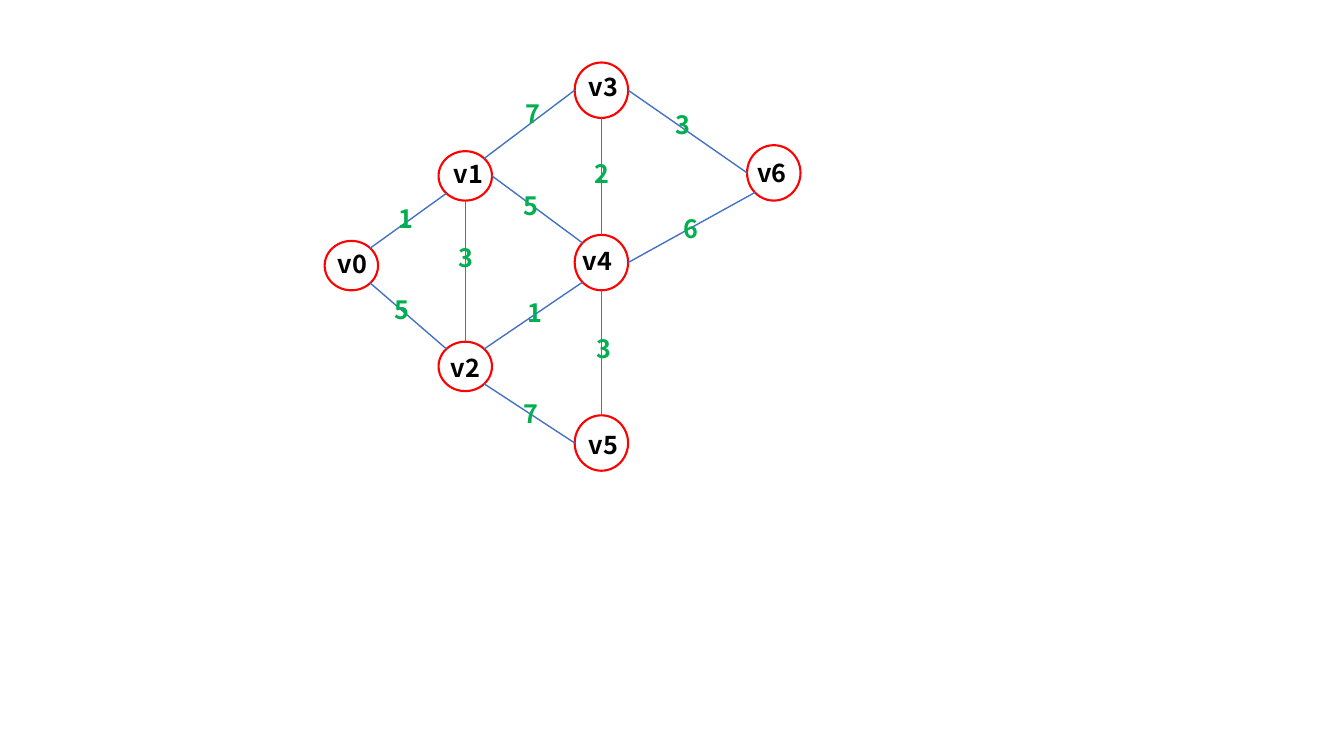
import dataclasses
import math

import lxml.etree
import pptx
import pptx.dml.color
import pptx.enum.shapes
import pptx.oxml.ns
import pptx.util

PX = 9144  # EMU per px, 100 px to the inch
NODE_WIDTH = 53
LABEL_HEIGHT = 40
NAME_WIDTH = 55
WEIGHT_WIDTH = 39


@dataclasses.dataclass(frozen=True)
class Theme:
    font: str = "Noto Sans CJK SC"
    text_size: int = 18
    name: str = "000000"
    weight: str = "00B050"
    ring: str = "FF0000"
    edge: str = "4472C4"
    ring_width: float = 1.5
    edge_width: float = 1


THEME = Theme()

# name: node left, top, height, then label left, top
NODES = {
    "v0": (322, 239, 49, 325, 241),
    "v1": (435, 150, 49, 440, 152),
    "v2": (435, 339, 49, 437, 345),
    "v3": (570, 62, 55, 574, 66),
    "v4": (570, 233, 55, 568, 238),
    "v5": (570, 412, 55, 574, 421),
    "v6": (741, 144, 55, 741, 151),
}

# Clockwise angle of each attachment point on a node, from the right
SIDES = {"right": 0, "lower right": 45, "bottom": 90, "lower left": 135,
         "left": 180, "upper left": 225, "top": 270, "upper right": 315}

# start node and side, end node and side, weight, weight left, top
EDGES = [
    ("v0", "upper right", "v1", "lower left", "1", 385, 197),
    ("v0", "lower right", "v2", "upper left", "5", 381, 287),
    ("v1", "upper right", "v3", "left", "7", 511, 93),
    ("v2", "lower right", "v5", "left", "7", 509, 390),
    ("v2", "top", "v1", "bottom", "3", 445, 236),
    ("v3", "bottom", "v4", "top", "2", 580, 152),
    ("v4", "bottom", "v5", "top", "3", 582, 326),
    ("v2", "upper right", "v4", "lower left", "1", 513, 290),
    ("v1", "right", "v4", "upper left", "5", 509, 184),
    ("v3", "right", "v6", "left", "3", 660, 104),
    ("v4", "right", "v6", "lower left", "6", 668, 207),
]


def emu(*lengths):
    return [pptx.util.Emu(round(length * PX)) for length in lengths]


def set_line(line, colour, width):
    line.color.rgb = pptx.dml.color.RGBColor.from_string(colour)
    line.width = pptx.util.Pt(width)


def add_node(page, left, top, height):
    node = page.shapes.add_shape(
        pptx.enum.shapes.MSO_SHAPE.OVAL, *emu(left, top, NODE_WIDTH, height))
    node.shadow.inherit = False
    node.fill.background()
    set_line(node.line, THEME.ring, THEME.ring_width)


def rim_point(name, side):
    """Return the point of a node's outline at the given side."""
    left, top, height = NODES[name][:3]
    angle = math.radians(SIDES[side])
    return (left + NODE_WIDTH / 2 * (1 + math.cos(angle)),
            top + height / 2 * (1 + math.sin(angle)))


def add_edge(page, start, end):
    edge = page.shapes.add_connector(
        pptx.enum.shapes.MSO_CONNECTOR.STRAIGHT, *emu(*start, *end))
    set_line(edge.line, THEME.edge, THEME.edge_width)
    lxml.etree.SubElement(edge._element.spPr, pptx.oxml.ns.qn("a:effectLst"))


def add_label(page, text, left, top, width, colour):
    box = page.shapes.add_textbox(*emu(left, top, width, LABEL_HEIGHT))
    box.text_frame.word_wrap = True
    para = box.text_frame.paragraphs[0]
    para.text = text
    para.font.name = THEME.font
    para.font.size = pptx.util.Pt(THEME.text_size)
    para.font.bold = True
    para.font.color.rgb = pptx.dml.color.RGBColor.from_string(colour)


def main():
    deck = pptx.Presentation()
    deck.slide_width, deck.slide_height = emu(1333, 750)
    page = deck.slides.add_slide(deck.slide_layouts[6])

    for left, top, height, *_ in NODES.values():
        add_node(page, left, top, height)
    for start, start_side, end, end_side, *_ in EDGES:
        add_edge(page, rim_point(start, start_side), rim_point(end, end_side))
    for name, (*_, left, top) in NODES.items():
        add_label(page, name, left, top, NAME_WIDTH, THEME.name)
    for *_, weight, left, top in EDGES:
        add_label(page, weight, left, top, WEIGHT_WIDTH, THEME.weight)

    deck.save("out.pptx")


if __name__ == "__main__":
    main()
